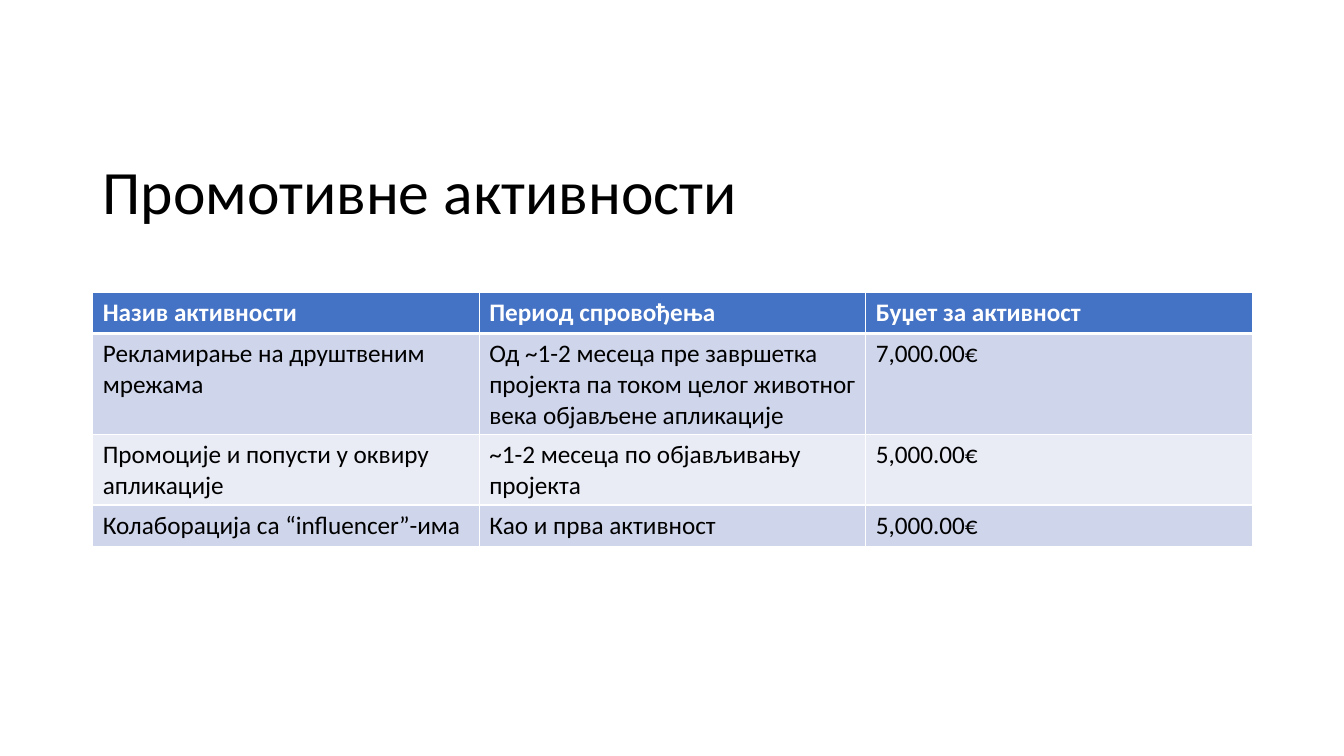
from dataclasses import dataclass

from lxml import etree
from pptx import Presentation
from pptx.dml.color import RGBColor
from pptx.enum.text import MSO_ANCHOR
from pptx.oxml.ns import qn
from pptx.util import Inches, Pt

MIDDLE = MSO_ANCHOR.MIDDLE
WHITE, BLACK, BLUE = "FFFFFF", "000000", "4472C4"
BANDS = ("CFD5EA", "E9EBF5")
LEFT, WIDTH = 0.92, 11.5
ROW_HIGH = 0.41


@dataclass
class Row:
    texts: tuple[str, str, str]
    fill: str
    ink: str = BLACK
    bold: bool = False
    top: int = 1
    base: int = 1


ROWS = [
    Row(("Назив активности", "Период спровођења", "Буџет за активност"),
        BLUE, WHITE, bold=True, base=3),
    Row(("Рекламирање на друштвеним мрежама",
         "Од ~1-2 месеца пре завршетка пројекта па током целог "
         "животног века објављене апликације",
         "7,000.00€"), BANDS[0], top=3),
    Row(("Промоције и попусти у оквиру апликације",
         "~1-2 месеца по објављивању пројекта",
         "5,000.00€"), BANDS[1]),
    Row(("Колаборација са “influencer”-има", "Као и прва активност",
         "5,000.00€"), BANDS[0]),
]


def color(code: str) -> RGBColor:
    return RGBColor.from_string(code)


def write(frame, text: str, size: int, ink: str, bold: bool = False) -> None:
    para = frame.paragraphs[0]
    run = para.add_run()
    run.text = text
    look = {"name": "Calibri", "size": Pt(size), "bold": bold}
    for key, value in look.items():
        setattr(run.font, key, value)
    run.font.color.rgb = color(ink)


def edge(cell, row: Row) -> None:
    props = cell._tc.get_or_add_tcPr()
    sides = {"a:lnL": 1, "a:lnR": 1, "a:lnT": row.top, "a:lnB": row.base}
    for spot, (tag, points) in enumerate(sides.items()):
        line = etree.Element(qn(tag), w=str(Pt(points)))
        fill = etree.SubElement(line, qn("a:solidFill"))
        etree.SubElement(fill, qn("a:srgbClr"), val=WHITE)
        props.insert(spot, line)


def add_title(slide, text: str) -> None:
    box = slide.shapes.add_textbox(
        Inches(LEFT), Inches(0.4), Inches(WIDTH), Inches(2.38))
    frame = box.text_frame
    # The top inset sets the title one line lower
    look = {"word_wrap": True, "vertical_anchor": MIDDLE,
            "margin_top": Inches(0.72)}
    for key, value in look.items():
        setattr(frame, key, value)
    frame.paragraphs[0].line_spacing = 0.9
    write(frame, text, 44, BLACK)


def add_grid(slide, rows: list[Row]) -> None:
    grid = slide.shapes.add_table(
        len(rows), len(rows[0].texts), Inches(LEFT), Inches(2.9),
        Inches(WIDTH), Inches(ROW_HIGH * len(rows))).table
    for line, row in zip(grid.rows, rows):
        for cell, text in zip(line.cells, row.texts):
            cell.fill.solid()
            cell.fill.fore_color.rgb = color(row.fill)
            edge(cell, row)
            write(cell.text_frame, text, 18, row.ink, row.bold)


def main() -> None:
    deck = Presentation()
    deck.slide_width, deck.slide_height = Inches(13.33), Inches(7.5)
    slide = deck.slides.add_slide(deck.slide_layouts[6])

    # Heading
    add_title(slide, "Промотивне активности")

    # Table of activities
    add_grid(slide, ROWS)

    deck.save("out.pptx")


if __name__ == "__main__":
    main()
